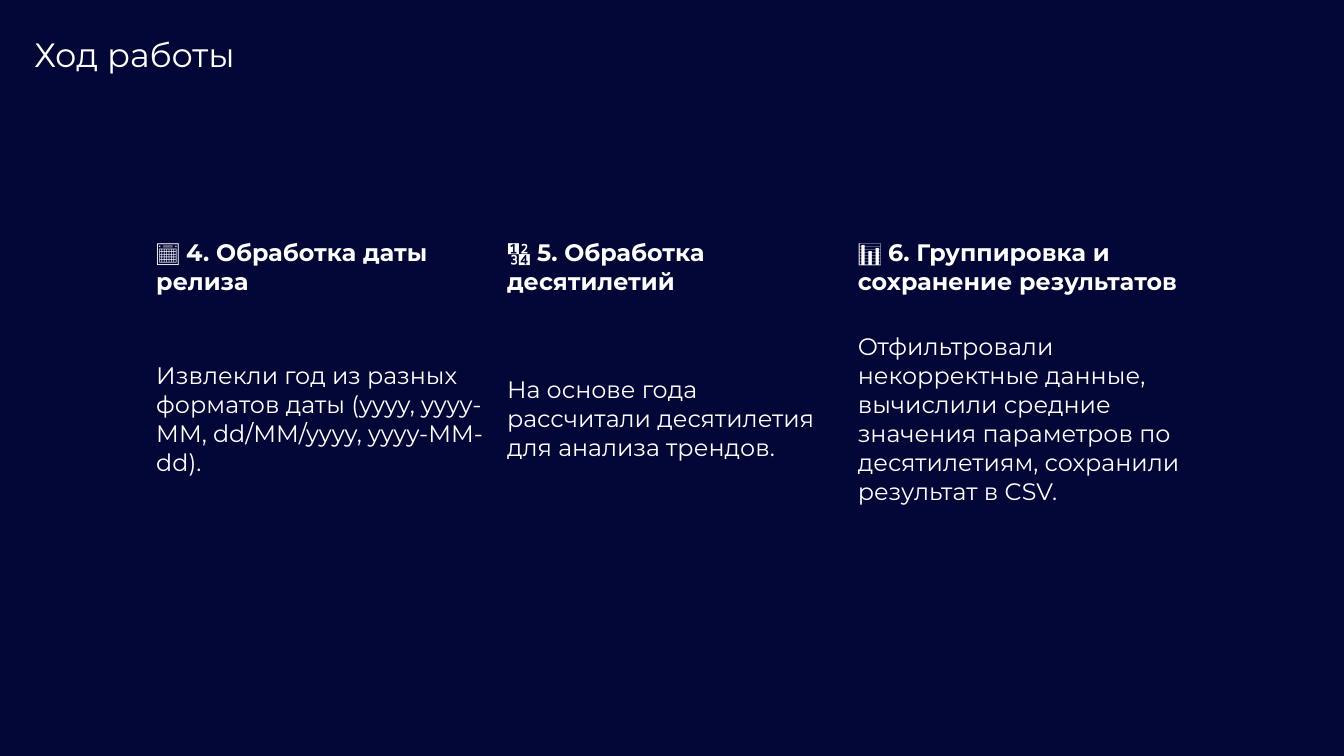
from pptx import Presentation
from pptx.dml.color import RGBColor
from pptx.enum.text import MSO_ANCHOR, MSO_AUTO_SIZE, PP_ALIGN
from pptx.oxml.ns import qn
from pptx.util import Pt

MIDDLE = MSO_ANCHOR.MIDDLE
NO_FIT = MSO_AUTO_SIZE.NONE
LEFT = PP_ALIGN.LEFT
FONT = "Montserrat"
COLORS = {"back": "030737", "text": "FFFFFF"}
PLAIN_STYLE = "{2D5ABB26-0587-4C30-8999-92F81FD0307C}"
STEPS = [
    ("📅 ", "4. Обработка даты релиза",
     "Извлекли год из разных форматов даты "
     "(yyyy, yyyy-MM, dd/MM/yyyy, yyyy-MM-dd)."),
    ("🔢 ", "5. Обработка десятилетий",
     "На основе года рассчитали десятилетия для анализа трендов."),
    ("📊 ", "6. Группировка и сохранение результатов",
     "Отфильтровали некорректные данные, вычислили средние значения "
     "параметров по десятилетиям, сохранили результат в CSV."),
]


def color(name):
    return RGBColor.from_string(COLORS[name])


def add_run(para, text, size, bold=False):
    run = para.add_run()
    run.text = text
    font = run.font
    font.name = FONT
    font.size = Pt(size)
    font.bold = bold
    font.color.rgb = color("text")


def add_title(slide, text):
    title = slide.shapes.title
    title.left, title.top = Pt(17.28), Pt(25.92)
    title.width, title.height = Pt(344.88), Pt(28.8)
    frame = title.text_frame
    frame.word_wrap = True
    frame.auto_size = NO_FIT
    frame.vertical_anchor = MIDDLE
    para = frame.paragraphs[0]
    para.alignment = LEFT
    para.line_spacing = 0.9
    add_run(para, text, 24)


def fill_cell(cell, parts):
    cell.fill.background()
    cell.vertical_anchor = MIDDLE
    cell.margin_left = cell.margin_right = Pt(7.2)
    cell.margin_top = cell.margin_bottom = Pt(3.6)
    para = cell.text_frame.paragraphs[0]
    for text, bold in parts:
        add_run(para, text, 17, bold)


def add_steps(slide, steps):
    heights = (59.04, 158.4)
    width = 250.56
    frame = slide.shapes.add_table(
        len(heights), len(steps), Pt(104.4), Pt(161.28),
        Pt(width * len(steps)), Pt(sum(heights)))
    table = frame.table
    table.first_row = False
    table.horz_banding = False
    for style in frame.element.iter(qn("a:tableStyleId")):
        style.text = PLAIN_STYLE
    for row, height in zip(table.rows, heights):
        row.height = Pt(height)
    for col, (icon, head, body) in enumerate(steps):
        table.columns[col].width = Pt(width)
        fill_cell(table.cell(0, col), [(icon, False), (head, True)])
        fill_cell(table.cell(1, col), [(body, False)])


def main():
    deck = Presentation()
    deck.slide_width, deck.slide_height = Pt(960), Pt(540)
    slide = deck.slides.add_slide(deck.slide_layouts[5])
    fill = slide.background.fill
    fill.solid()
    fill.fore_color.rgb = color("back")
    add_title(slide, "Ход работы")
    add_steps(slide, STEPS)
    deck.save("out.pptx")


if __name__ == "__main__":
    main()
